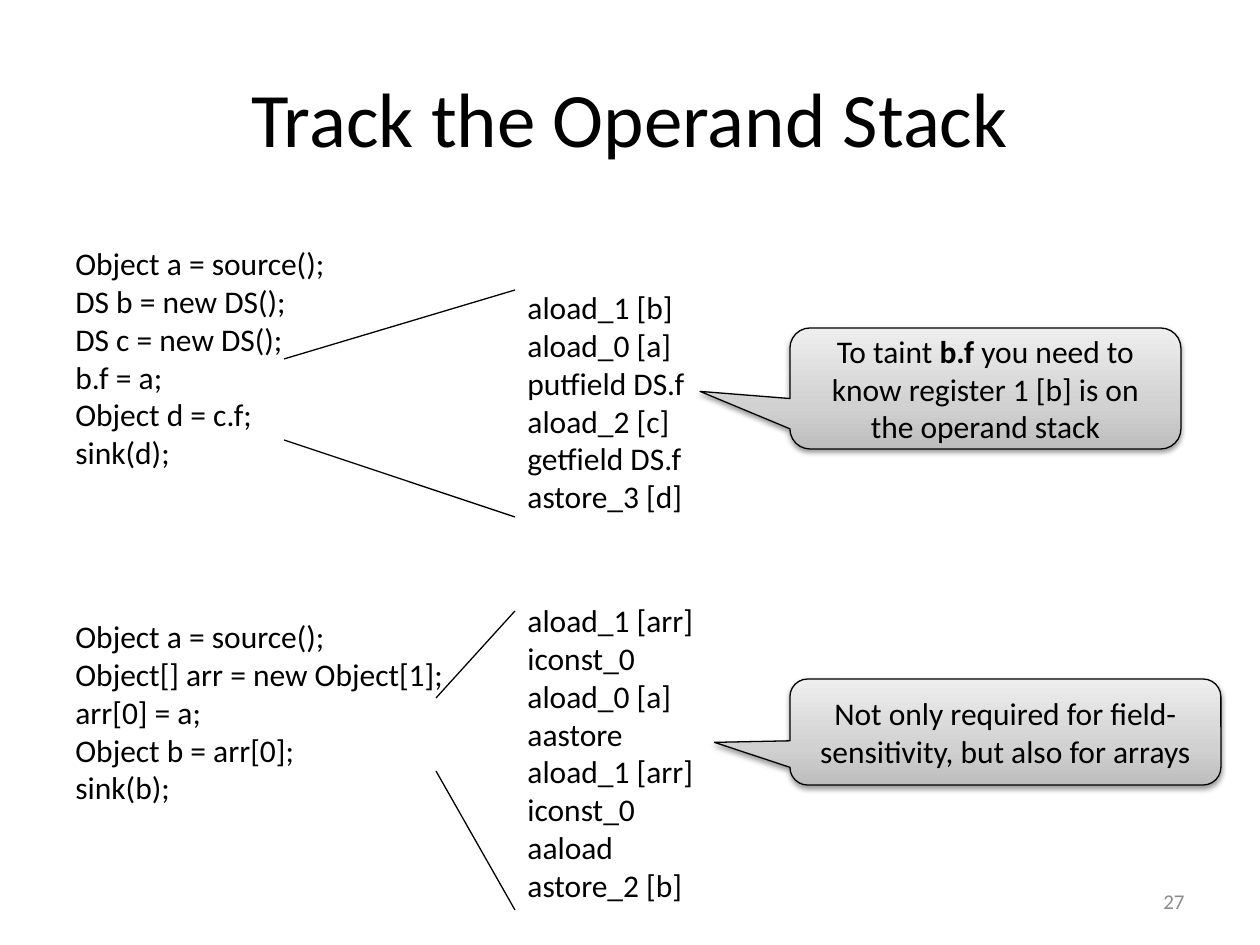
from lxml import etree
from pptx import Presentation
from pptx import util as u
from pptx.dml.color import RGBColor
from pptx.enum import shapes, text
from pptx.oxml import ns

PX = 914400 / 126
FONT = "Calibri"
LINE_HEIGHT, TEXT_MARGINS = 38, 14
COLORS = {"ink": "000000", "number": "8C8C8C"}
CALLOUT_STOPS = [(0, "BDBDBD"), (35, "D1D1D1"), (100, "EEEEEE")]

PANELS = [
    {
        "box": (63, 238, 1134, 286),
        "code": ["Object a = source();", "DS b = new DS();", "DS c = new DS();",
                 "b.f = a;", "Object d = c.f;", "sink(d);"],
        "code_top": 0, "code_width": 277,
        "bytecode": ["aload_1 [b]", "aload_0 [a]", "putfield DS.f",
                     "aload_2 [c]", "getfield DS.f", "astore_3 [d]"],
        "bytecode_top": 44,
        "fan_left": 221, "fan": [(121, 52), (202, 279)],
        "callout": (727, 90, 391, 121), "pointer": (-0.73, 0.024),
        "note": [("To taint ", False), ("b.f", True),
                 (" you need to know register 1 [b] is on the operand stack", False)],
    },
    {
        "box": (63, 595, 1134, 318),
        "code": ["Object a = source();", "Object[] arr = new Object[1];",
                 "arr[0] = a;", "Object b = arr[0];", "sink(b);"],
        "code_top": 16, "code_width": 397,
        "bytecode": ["aload_1 [arr]", "iconst_0", "aload_0 [a]", "aastore",
                     "aload_1 [arr]", "iconst_0", "aaload", "astore_2 [b]"],
        "bytecode_top": 0,
        "fan_left": 373, "fan": [(103, 16), (176, 315)],
        "callout": (727, 84, 431, 106), "pointer": (-0.675, 0.098),
        "note": [("Not only required for field-sensitivity, but also for arrays", False)],
    },
]
BYTECODE_LEFT, BYTECODE_WIDTH = 452, 193


def px(*lengths):
    return [u.Emu(round(length * PX)) for length in lengths]


def add_span(para, words, size, color="ink", bold=None):
    span = para.add_run()
    span.text = words
    span.font.name, span.font.size, span.font.bold = FONT, u.Pt(size), bold
    span.font.color.rgb = RGBColor.from_string(COLORS[color])


def add_title(page, box, words):
    title = page.shapes.title
    title.left, title.top, title.width, title.height = px(*box)
    title.text_frame.vertical_anchor = text.MSO_ANCHOR.MIDDLE
    para = title.text_frame.paragraphs[0]
    para.alignment = text.PP_ALIGN.CENTER
    add_span(para, words, 44)


def add_listing(page, left, top, width, lines):
    height = len(lines) * LINE_HEIGHT + TEXT_MARGINS
    frame = page.shapes.add_textbox(*px(left, top, width, height)).text_frame
    frame.word_wrap = False
    for index, line in enumerate(lines):
        para = frame.add_paragraph() if index else frame.paragraphs[0]
        add_span(para, line, 18)


def add_line(page, *ends):
    line = page.shapes.add_connector(shapes.MSO_CONNECTOR.STRAIGHT, *px(*ends))
    line.line.color.rgb = RGBColor.from_string(COLORS["ink"])
    line.line.width = u.Pt(0.75)
    etree.SubElement(line.element.spPr, ns.qn("a:effectLst"))


def fill_with_gradient(shape):
    shape.fill.gradient()
    shape.fill.gradient_angle = 90
    stops = shape.element.spPr.find(ns.qn("a:gradFill")).find(ns.qn("a:gsLst"))
    for stop in list(stops):
        stops.remove(stop)
    for percent, color in CALLOUT_STOPS:
        stop = etree.SubElement(stops, ns.qn("a:gs"), pos=str(percent * 1000))
        etree.SubElement(stop, ns.qn("a:srgbClr"), val=color)


def add_drop_shadow(shape):
    shape.shadow.inherit = False
    effects = shape.element.spPr.find(ns.qn("a:effectLst"))
    shadow = etree.SubElement(
        effects, ns.qn("a:outerShdw"), blurRad=str(u.Pt(3.1)), dist=str(u.Pt(1.6)),
        dir="5400000", rotWithShape="0")
    color = etree.SubElement(shadow, ns.qn("a:srgbClr"), val=COLORS["ink"])
    etree.SubElement(color, ns.qn("a:alpha"), val="38000")


def add_callout(page, box, pointer, note):
    callout = page.shapes.add_shape(
        shapes.MSO_SHAPE.ROUNDED_RECTANGULAR_CALLOUT, *px(*box))
    callout.adjustments[0], callout.adjustments[1] = pointer
    fill_with_gradient(callout)
    callout.line.color.rgb = RGBColor.from_string(COLORS["ink"])
    callout.line.width = u.Pt(0.75)
    add_drop_shadow(callout)
    frame = callout.text_frame
    frame.word_wrap = True
    frame.vertical_anchor = text.MSO_ANCHOR.MIDDLE
    para = frame.paragraphs[0]
    para.alignment = text.PP_ALIGN.CENTER
    for words, bold in note:
        add_span(para, words, 18, bold=bold)


def add_panel(page, panel):
    """Source code, fanned out into its bytecode, with a callout beside it."""
    left, top = panel["box"][:2]
    add_listing(page, left, top + panel["code_top"], panel["code_width"], panel["code"])
    bytecode_left = left + BYTECODE_LEFT
    add_listing(page, bytecode_left, top + panel["bytecode_top"],
                BYTECODE_WIDTH, panel["bytecode"])
    for start, end in panel["fan"]:
        add_line(page, left + panel["fan_left"], top + start, bytecode_left, top + end)
    x, y, width, height = panel["callout"]
    add_callout(page, (left + x, top + y, width, height), panel["pointer"], panel["note"])


def add_page_number(page, box, number):
    frame = page.shapes.add_textbox(*px(*box)).text_frame
    frame.word_wrap = True
    frame.vertical_anchor = text.MSO_ANCHOR.MIDDLE
    para = frame.paragraphs[0]
    para.alignment = text.PP_ALIGN.RIGHT
    add_span(para, number, 12, "number")


def main():
    deck = Presentation()
    deck.slide_width, deck.slide_height = px(1260, 945)
    page = deck.slides.add_slide(deck.slide_layouts.get_by_name("Title Only"))
    add_title(page, (63, 38, 1134, 157), "Track the Operand Stack")
    for panel in PANELS:
        add_panel(page, panel)
    add_page_number(page, (903, 876, 294, 50), "27")
    deck.save("out.pptx")


if __name__ == "__main__":
    main()
